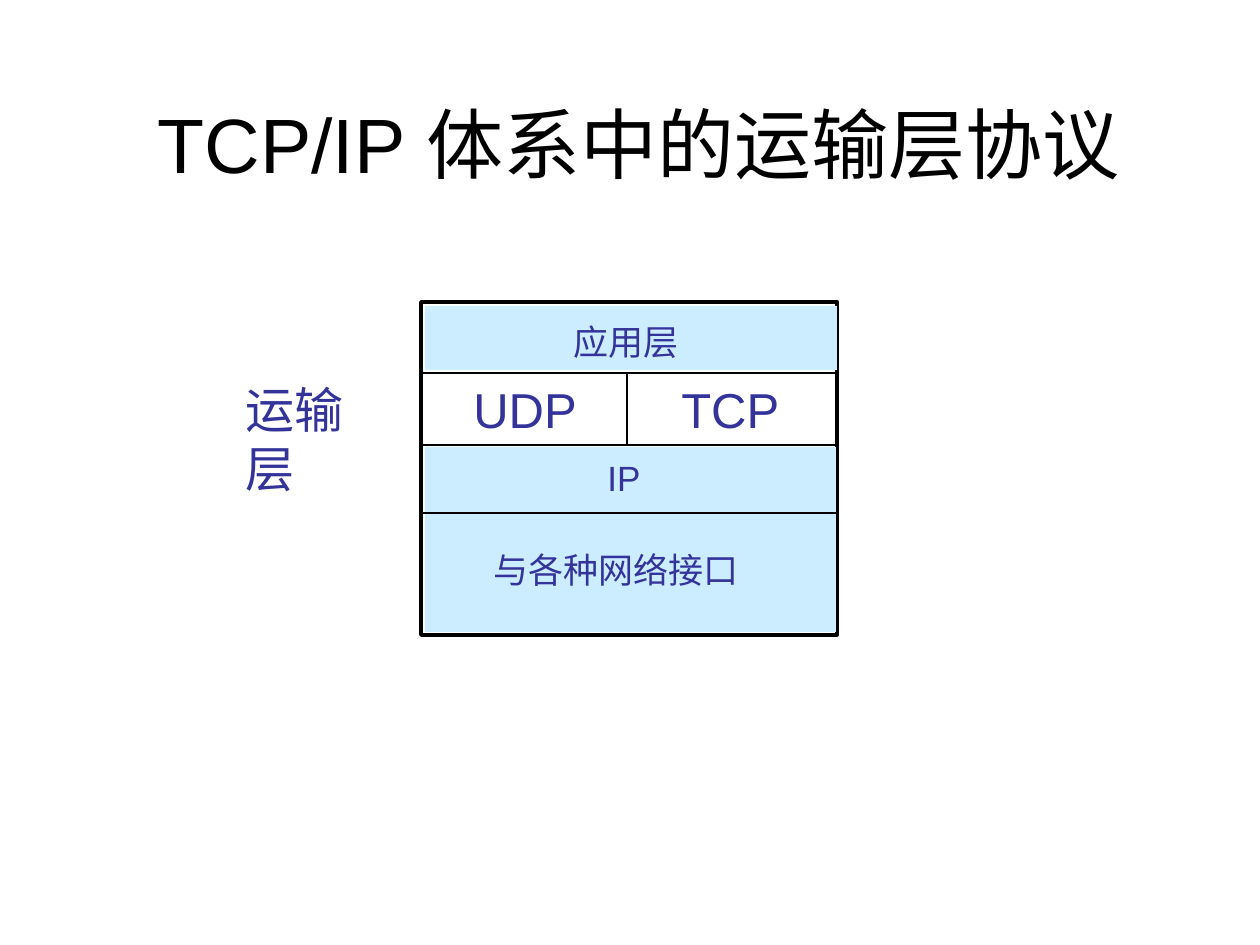
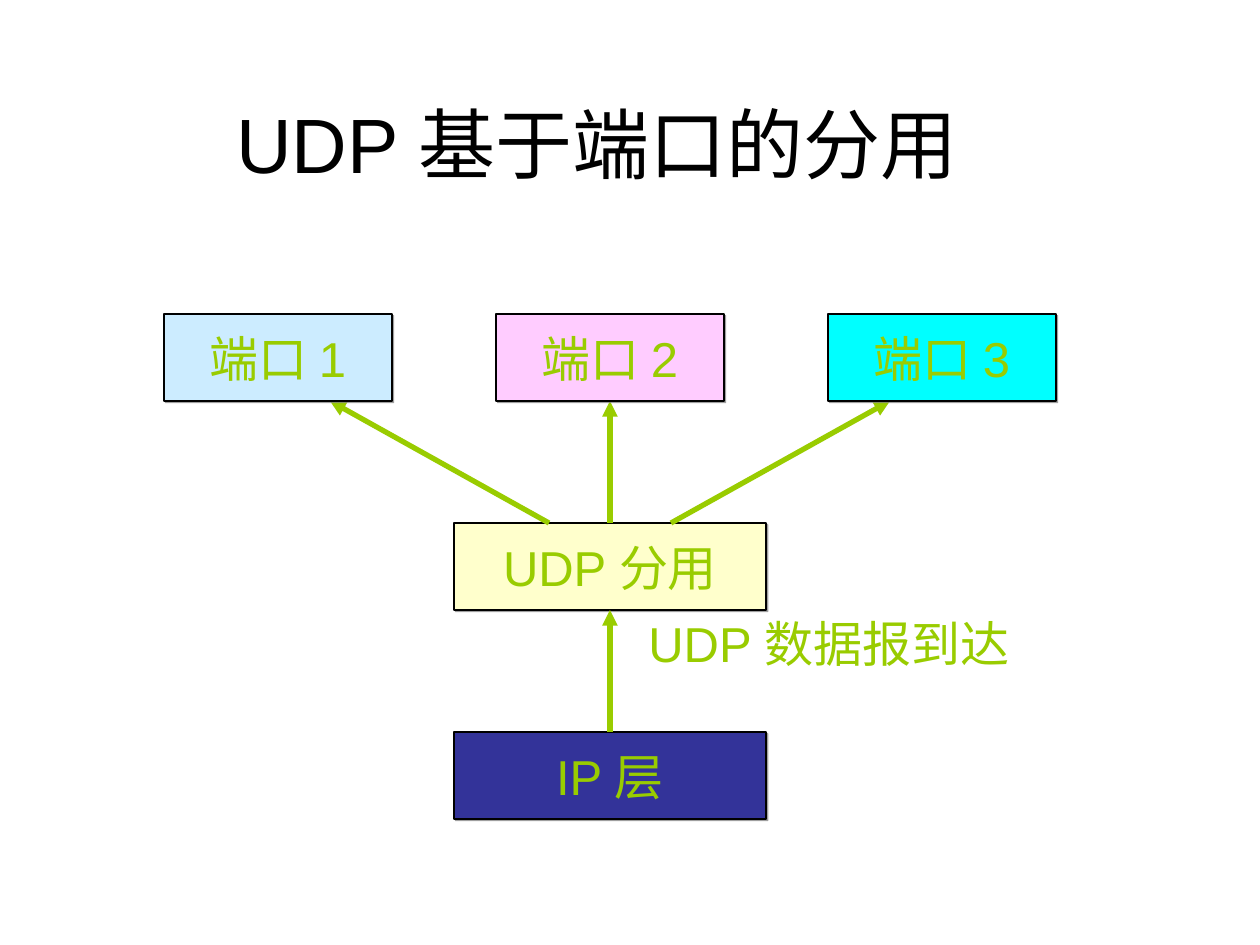
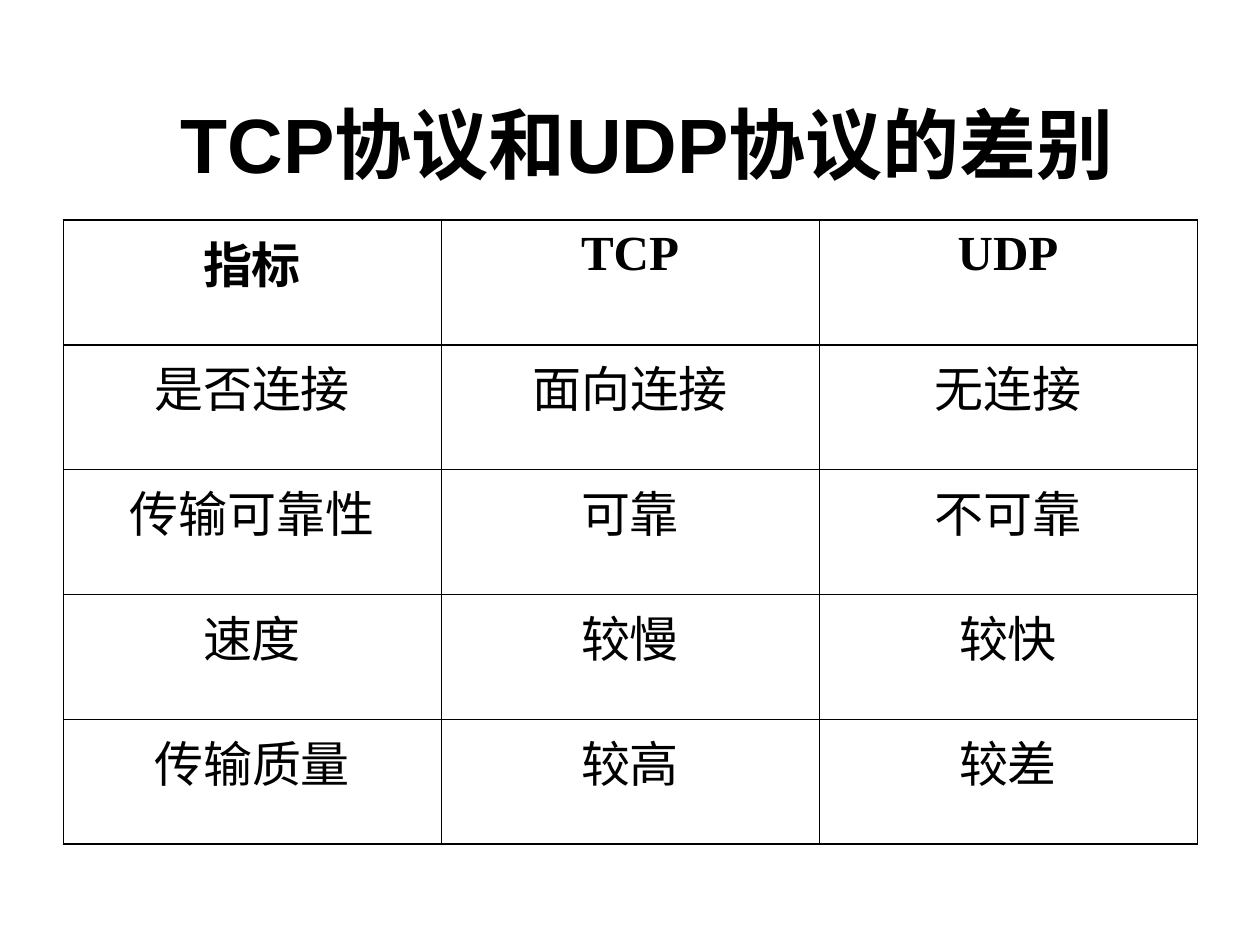
"""Build three slides on the TCP/IP transport layer, UDP ports and TCP versus UDP."""
from lxml import etree
from pptx import Presentation
from pptx.dml.color import RGBColor
from pptx.enum.shapes import MSO_CONNECTOR, MSO_SHAPE
from pptx.enum.text import MSO_ANCHOR, MSO_AUTO_SIZE, PP_ALIGN
from pptx.oxml.ns import qn
from pptx.util import Emu, Pt

RECTANGLE = MSO_SHAPE.RECTANGLE
STRAIGHT = MSO_CONNECTOR.STRAIGHT
CENTER, LEFT = PP_ALIGN.CENTER, PP_ALIGN.LEFT
MIDDLE, BOTTOM = MSO_ANCHOR.MIDDLE, MSO_ANCHOR.BOTTOM
NO_AUTOFIT = MSO_AUTO_SIZE.NONE
TOP_SIDE, BOTTOM_SIDE = 0, 2

BLACK = RGBColor(0x00, 0x00, 0x00)
WHITE = RGBColor(0xFF, 0xFF, 0xFF)
INDIGO = RGBColor(0x33, 0x33, 0x99)
SKY = RGBColor(0xCC, 0xEC, 0xFF)
PINK = RGBColor(0xFF, 0xCC, 0xFF)
CYAN = RGBColor(0x00, 0xFF, 0xFF)
CREAM = RGBColor(0xFF, 0xFF, 0xCC)
LIME = RGBColor(0x99, 0xCC, 0x00)

SANS, SERIF, CJK_SANS = "Arial", "Times New Roman", "Roboto"

STACK_TITLE = "TCP/IP 体系中的运输层协议 "
STACK_FRAME = (421, 302, 416, 333)
STACK_BANDS = [(425, 306, 412, 64), (425, 447, 411, 185)]
STACK_RULES = [373, 445, 513]
TRANSPORT_SPLIT = 627
STACK_LABELS = [
    ("TCP", (669, 373, 123, 71), 28, SANS),
    ("UDP", (461, 373, 129, 71), 28, SANS),
    ("IP", (595, 450, 58, 54), 20, SANS),
    ("应用层", (561, 314, 130, 54), 20, SANS),
    ("与各种网络接口", (481, 542, 318, 54), 20, SANS),
    ("运输层", (233, 373, 171, 72), 28, CJK_SANS),
]

DEMUX_TITLE = "UDP 基于端口的分用 "
PORTS = [("端口 1", SKY), ("端口 2", PINK), ("端口 3", CYAN)]
PORT_LEFT, PORT_TOP, PORT_PITCH, PORT_WIDTH = 164, 314, 332, 228
NODE_LEFT, NODE_WIDTH, NODE_HEIGHT = 454, 312, 87
DEMUX_TOP, IP_TOP = 523, 732
FAN_START, FAN_END = 61, 280
ARRIVAL = ("UDP 数据报到达", (636, 607, 398, 72))

COMPARE_TITLE = "TCP协议和UDP协议的差别"
COMPARISON = [
    ("指标", "TCP", "UDP"),
    ("是否连接", "面向连接", "无连接"),
    ("传输可靠性", "可靠", "不可靠"),
    ("速度", "较慢", "较快"),
    ("传输质量", "较高", "较差"),
]
TABLE_BOX = (63, 220, 1134, 624)
COLUMN_EDGES = [0.34, 0.45, 0.45, 0.34]
ROW_EDGES = [0.96, 0.96, 0.45, 0.45, 0.45, 0.96]


def px(*lengths):
    return [Emu(round(length * 914400 / 126)) for length in lengths]


def style(paragraph, size, font, color, align=LEFT, bold=False):
    paragraph.alignment = align
    paragraph.font.size = Pt(size)
    paragraph.font.name = font
    paragraph.font.bold = bold
    paragraph.font.color.rgb = color


def add_titled_slide(deck, text, width, bold=False):
    slide = deck.slides.add_slide(deck.slide_layouts[5])
    title = slide.shapes.title
    title.left, title.top, title.width, title.height = px(63, 106, width, 83)
    frame = title.text_frame
    frame.text = text
    frame.auto_size = NO_AUTOFIT
    frame.vertical_anchor = BOTTOM
    frame.margin_left = frame.margin_right = frame.margin_top = frame.margin_bottom = 0
    style(frame.paragraphs[0], 44, SANS, BLACK, CENTER, bold)
    return slide


def add_label(slide, text, box, size, font, color, wrap=False):
    frame = slide.shapes.add_textbox(*px(*box)).text_frame
    frame.text = text
    frame.word_wrap = wrap
    style(frame.paragraphs[0], size, font, color)


def add_box(slide, box, fill, line_width=0):
    shape = slide.shapes.add_shape(RECTANGLE, *px(*box))
    shape.shadow.inherit = False
    shape.fill.solid()
    shape.fill.fore_color.rgb = fill
    if line_width:
        shape.line.color.rgb = BLACK
        shape.line.width = Pt(line_width)
    else:
        shape.line.fill.background()
    return shape


def add_node(slide, text, box, fill):
    node = add_box(slide, box, fill, 0.75)
    effects = node._element.spPr.find(qn("a:effectLst"))
    shadow = etree.SubElement(effects, qn("a:outerShdw"), dist=str(Pt(1.4)),
                              dir="2700000", algn="ctr", rotWithShape="0")
    tint = etree.SubElement(shadow, qn("a:srgbClr"), val="808080")
    etree.SubElement(tint, qn("a:alpha"), val="75000")
    frame = node.text_frame
    frame.text = text
    frame.word_wrap = False
    frame.vertical_anchor = MIDDLE
    style(frame.paragraphs[0], 28, SANS, LIME, CENTER)
    return node


def add_line(slide, ends, color, width, arrow=False):
    line = slide.shapes.add_connector(STRAIGHT, *px(*ends))
    line.line.color.rgb = color
    line.line.width = Pt(width)
    etree.SubElement(line._element.spPr, qn("a:effectLst"))
    if arrow:
        etree.SubElement(line.line._get_or_add_ln(), qn("a:tailEnd"), type="triangle")
    return line


def join(line, lower, upper):
    line.begin_connect(lower, TOP_SIDE)
    line.end_connect(upper, BOTTOM_SIDE)


def build_stack(deck):
    slide = add_titled_slide(deck, STACK_TITLE, 1169)
    add_box(slide, STACK_FRAME, WHITE, 2)
    for band in STACK_BANDS:
        add_box(slide, band, SKY)
    left, _, width, _ = STACK_FRAME
    for y in STACK_RULES:
        add_line(slide, (left, y, left + width, y), BLACK, 1)
    add_line(slide, (TRANSPORT_SPLIT, STACK_RULES[0], TRANSPORT_SPLIT, STACK_RULES[1]), BLACK, 1)
    for text, box, size, font in STACK_LABELS:
        add_label(slide, text, box, size, font, INDIGO, wrap=box[2] > 300)


def build_demux(deck):
    slide = add_titled_slide(deck, DEMUX_TITLE, 1086)
    ip_layer = add_node(slide, "IP 层", (NODE_LEFT, IP_TOP, NODE_WIDTH, NODE_HEIGHT), INDIGO)
    demux = add_node(slide, "UDP 分用", (NODE_LEFT, DEMUX_TOP, NODE_WIDTH, NODE_HEIGHT), CREAM)
    axis = NODE_LEFT + NODE_WIDTH // 2
    rise = add_line(slide, (axis, IP_TOP, axis, DEMUX_TOP + NODE_HEIGHT), LIME, 3, True)
    join(rise, ip_layer, demux)
    for index, (text, fill) in enumerate(PORTS):
        side = index - 1
        ends = (axis + FAN_START * side, DEMUX_TOP,
                axis + FAN_END * side, PORT_TOP + NODE_HEIGHT)
        arrow = add_line(slide, ends, LIME, 3, True)
        box = (PORT_LEFT + PORT_PITCH * index, PORT_TOP, PORT_WIDTH, NODE_HEIGHT)
        port = add_node(slide, text, box, fill)
        if side == 0:
            join(arrow, demux, port)
    add_label(slide, *ARRIVAL, 28, SANS, LIME)


def set_borders(cell, row, column):
    widths = {
        "a:lnL": COLUMN_EDGES[column], "a:lnR": COLUMN_EDGES[column + 1],
        "a:lnT": ROW_EDGES[row], "a:lnB": ROW_EDGES[row + 1],
    }
    properties = cell._tc.get_or_add_tcPr()
    for tag, width in widths.items():
        border = etree.SubElement(properties, qn(tag), w=str(Pt(width)))
        fill = etree.SubElement(border, qn("a:solidFill"))
        etree.SubElement(fill, qn("a:srgbClr"), val=str(BLACK))


def build_comparison(deck):
    slide = add_titled_slide(deck, COMPARE_TITLE, 1169, bold=True)
    table = slide.shapes.add_table(len(COMPARISON), len(COMPARISON[0]), *px(*TABLE_BOX)).table
    table.first_row = table.horz_banding = False
    for row, texts in enumerate(COMPARISON):
        for column, text in enumerate(texts):
            cell = table.cell(row, column)
            cell.text = text
            style(cell.text_frame.paragraphs[0], 28, SERIF, BLACK, CENTER, row == 0)
            set_borders(cell, row, column)
            cell.fill.background()


def main():
    deck = Presentation()
    deck.slide_width, deck.slide_height = px(1260, 945)
    build_stack(deck)
    build_demux(deck)
    build_comparison(deck)
    deck.save("out.pptx")


if __name__ == "__main__":
    main()
